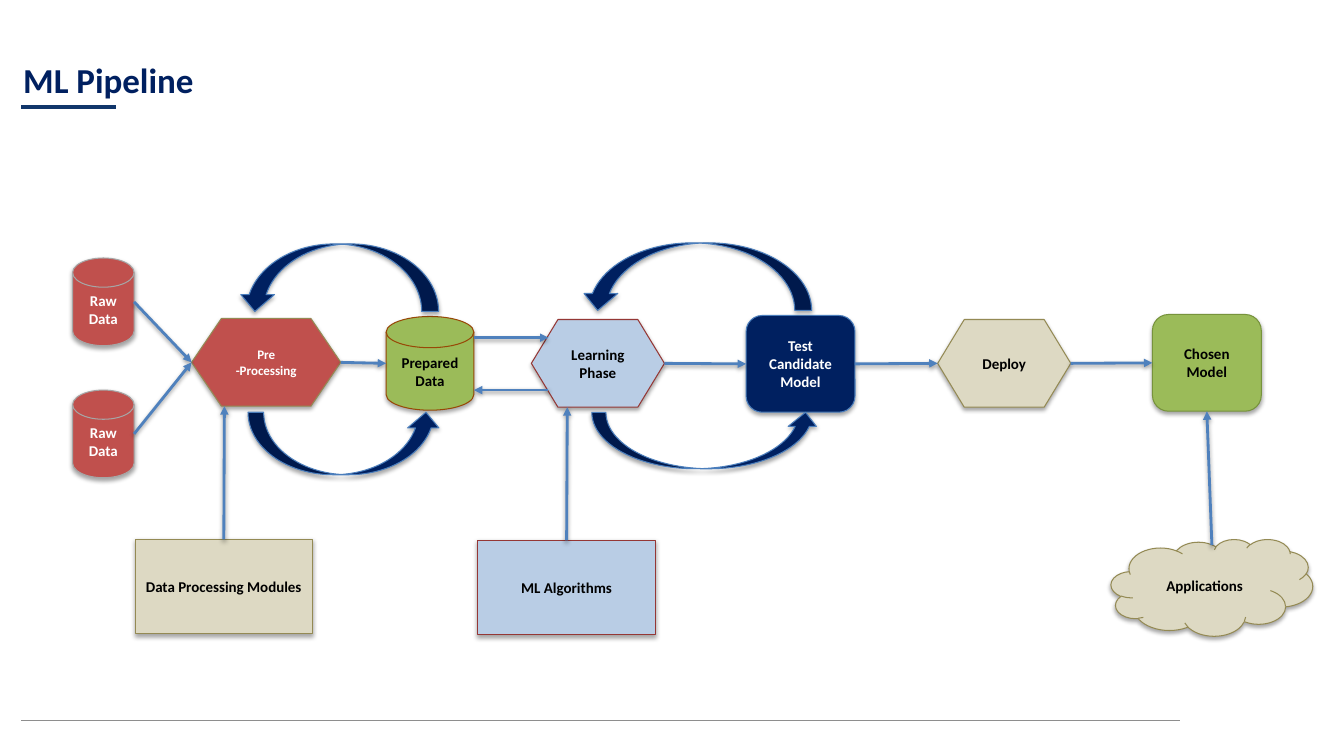
from dataclasses import dataclass

from lxml.etree import SubElement
from pptx import Presentation
from pptx.dml.color import RGBColor
from pptx.enum.shapes import MSO_CONNECTOR, MSO_SHAPE
from pptx.enum.text import MSO_ANCHOR, PP_ALIGN
from pptx.oxml.ns import qn
from pptx.util import Inches, Pt


@dataclass(frozen=True)
class Theme:
    font: str = "Calibri"
    title_size: float = 25
    label_size: float = 10.7
    small_size: float = 9.3
    outline: float = 0.75
    link_width: float = 2
    navy: str = "002060"
    accent: str = "11366B"
    rule: str = "8E8E8E"
    link: str = "4F81BD"
    loop_edge: str = "4B7EBC"
    red: str = "C0504D"
    green: str = "9BBB59"
    sky: str = "B9CDE5"
    sand: str = "DDD9C3"
    silver_edge: str = "A6A6A6"
    sand_edge: str = "948A54"
    rust_edge: str = "984807"
    wine_edge: str = "953735"
    olive_edge: str = "77933C"
    white: str = "FFFFFF"
    black: str = "000000"


@dataclass(frozen=True)
class Box:
    x: float
    y: float
    w: float
    h: float

    def inner(self, dx, dy, w, h):
        return Box(self.x + dx, self.y + dy, w, h)

    def point(self, across, down):
        return self.x + across * self.w, self.y + down * self.h

    @property
    def left(self):
        return self.point(0, 0.5)

    @property
    def right(self):
        return self.point(1, 0.5)

    @property
    def top(self):
        return self.point(0.5, 0)

    def inches(self):
        return [Inches(length) for length in (self.x, self.y, self.w, self.h)]


THEME = Theme()
DISK = MSO_SHAPE.FLOWCHART_MAGNETIC_DISK
HEXAGON = MSO_SHAPE.FLOWCHART_PREPARATION
ROUNDED = MSO_SHAPE.ROUNDED_RECTANGLE


def rgb(color):
    return RGBColor.from_string(color)


def cast_shadow(effects, distance, opacity):
    shadow = SubElement(effects, qn("a:outerShdw"), blurRad="40000", dist=str(distance),
                        dir="5400000", rotWithShape="0")
    tint = SubElement(shadow, qn("a:srgbClr"), val=THEME.black)
    SubElement(tint, qn("a:alpha"), val=str(opacity))


def draw_shape(slide, preset, box, fill, edge):
    shape = slide.shapes.add_shape(preset, *box.inches())
    shape.fill.solid()
    shape.fill.fore_color.rgb = rgb(fill)
    shape.line.color.rgb = rgb(edge)
    shape.line.width = Pt(THEME.outline)
    shape.shadow.inherit = False
    cast_shadow(shape._element.spPr.find(qn("a:effectLst")), 23000, 35000)
    return shape


def style_text(paragraph, size, color):
    font = paragraph.font
    font.name, font.size, font.bold = THEME.font, Pt(size), True
    font.color.rgb = rgb(color)


def draw_stage(slide, preset, box, label, fill, edge, ink=THEME.black, size=THEME.label_size):
    frame = draw_shape(slide, preset, box, fill, edge).text_frame
    frame.word_wrap = True
    frame.vertical_anchor = MSO_ANCHOR.MIDDLE
    frame.margin_left = frame.margin_right = Inches(0.08)
    paragraph = frame.paragraphs[0]
    paragraph.text = label
    paragraph.alignment = PP_ALIGN.CENTER
    style_text(paragraph, size, ink)
    return box


def draw_loop(slide, box, rotation):
    center_x, center_y = box.point(0.5, 0.5)
    upright = Box(center_x - box.h / 2, center_y - box.w / 2, box.h, box.w)
    draw_shape(slide, MSO_SHAPE.CURVED_RIGHT_ARROW, upright,
               THEME.navy, THEME.loop_edge).rotation = rotation


def draw_line(slide, start, end, color, width):
    line = slide.shapes.add_connector(
        MSO_CONNECTOR.STRAIGHT, *[Inches(length) for length in (*start, *end)])
    line.line.color.rgb = rgb(color)
    line.line.width = Pt(width)
    return line, SubElement(line._element.spPr, qn("a:effectLst"))


def draw_link(slide, start, end):
    link, effects = draw_line(slide, start, end, THEME.link, THEME.link_width)
    SubElement(link.line._get_or_add_ln(), qn("a:tailEnd"), type="triangle")
    cast_shadow(effects, 20000, 38000)


def add_heading(slide, box):
    title = slide.shapes.add_textbox(*box.inches()).text_frame
    title.word_wrap = True
    title.margin_left, title.margin_top = Inches(0.04), Inches(0.4)
    title.margin_right = title.margin_bottom = 0
    paragraph = title.paragraphs[0]
    paragraph.text = "ML Pipeline"
    paragraph.space_before = Pt(0.9)
    style_text(paragraph, THEME.title_size, THEME.navy)
    underline = box.inner(0.02, 0.88, 0.94, 0)
    draw_line(slide, underline.left, underline.right, THEME.accent, 3)


def add_footer_rule(slide, box):
    draw_line(slide, box.left, box.right, THEME.rule, 0.72)


def add_preparation(slide, box):
    preprocessing = draw_stage(slide, HEXAGON, box.inner(1.18, 0.74, 1.48, 0.87),
                               "Pre -Processing", THEME.red, THEME.sand_edge,
                               THEME.white, THEME.small_size)
    for row in range(2):
        raw = draw_stage(slide, DISK, box.inner(0, 0.14 + row * 1.31, 0.61, 0.87),
                         "Raw Data", THEME.red, THEME.silver_edge, THEME.white)
        draw_link(slide, raw.right, preprocessing.left)
    prepared = draw_stage(slide, DISK, box.inner(3.11, 0.72, 0.87, 0.93),
                          "Prepared Data", THEME.green, THEME.rust_edge)
    draw_link(slide, preprocessing.right, prepared.left)
    draw_loop(slide, box.inner(1.64, 0, 1.99, 0.67), 90)
    draw_loop(slide, box.inner(1.74, 1.67, 1.92, 0.62), 270)
    modules = draw_stage(slide, MSO_SHAPE.RECTANGLE, box.inner(0.62, 2.93, 1.76, 0.94),
                         "Data Processing Modules", THEME.sand, THEME.sand_edge)
    draw_link(slide, modules.top, preprocessing.point(0.22, 1))
    return prepared


def add_learning(slide, box, prepared):
    learning = draw_stage(slide, HEXAGON, box.inner(0.53, 0.76, 1.32, 0.87),
                          "Learning Phase", THEME.sky, THEME.wine_edge)
    candidate = draw_stage(slide, ROUNDED, box.inner(2.66, 0.72, 1.08, 0.96),
                           "Test Candidate Model", THEME.navy, THEME.loop_edge, THEME.white)
    draw_link(slide, learning.right, candidate.left)
    draw_loop(slide, box.inner(1.02, 0, 2.29, 0.67), 90)
    draw_loop(slide, box.inner(1.13, 1.68, 2.26, 0.56), 270)
    algorithms = draw_stage(slide, MSO_SHAPE.RECTANGLE, box.inner(0, 2.95, 1.76, 0.94),
                            "ML Algorithms", THEME.sky, THEME.wine_edge)
    draw_link(slide, algorithms.top, learning.point(0.27, 1))
    exchange = Box(prepared.x + prepared.w, 3.35, 0.74, 0.52)
    draw_link(slide, exchange.point(0, 0), exchange.point(1, 0))
    draw_link(slide, exchange.point(1, 1), exchange.point(0, 1))
    return candidate


def add_delivery(slide, box, candidate):
    deploy = draw_stage(slide, HEXAGON, box.inner(0, 0.05, 1.32, 0.87),
                        "Deploy", THEME.sand, THEME.sand_edge)
    chosen = draw_stage(slide, ROUNDED, box.inner(2.13, 0, 1.08, 0.96),
                        "Chosen Model", THEME.green, THEME.olive_edge)
    applications = draw_stage(slide, MSO_SHAPE.CLOUD, box.inner(1.72, 2.23, 2, 0.96),
                              "Applications", THEME.sand, THEME.sand_edge)
    draw_link(slide, candidate.right, deploy.left)
    draw_link(slide, deploy.right, chosen.left)
    draw_link(slide, applications.point(0.5, 0.06), chosen.point(0.5, 1))


def main():
    deck = Presentation()
    deck.slide_width, deck.slide_height = Inches(13.33), Inches(7.5)
    slide = deck.slides.add_slide(deck.slide_layouts[6])
    add_footer_rule(slide, Box(0.21, 7.15, 11.49, 0))
    add_heading(slide, Box(0.19, 0.18, 11.88, 0.82))
    prepared = add_preparation(slide, Box(0.72, 2.42, 3.98, 3.87))
    candidate = add_learning(slide, Box(4.74, 2.41, 3.74, 3.89), prepared)
    add_delivery(slide, Box(9.3, 3.12, 3.72, 3.19), candidate)
    deck.save("out.pptx")


if __name__ == "__main__":
    main()
